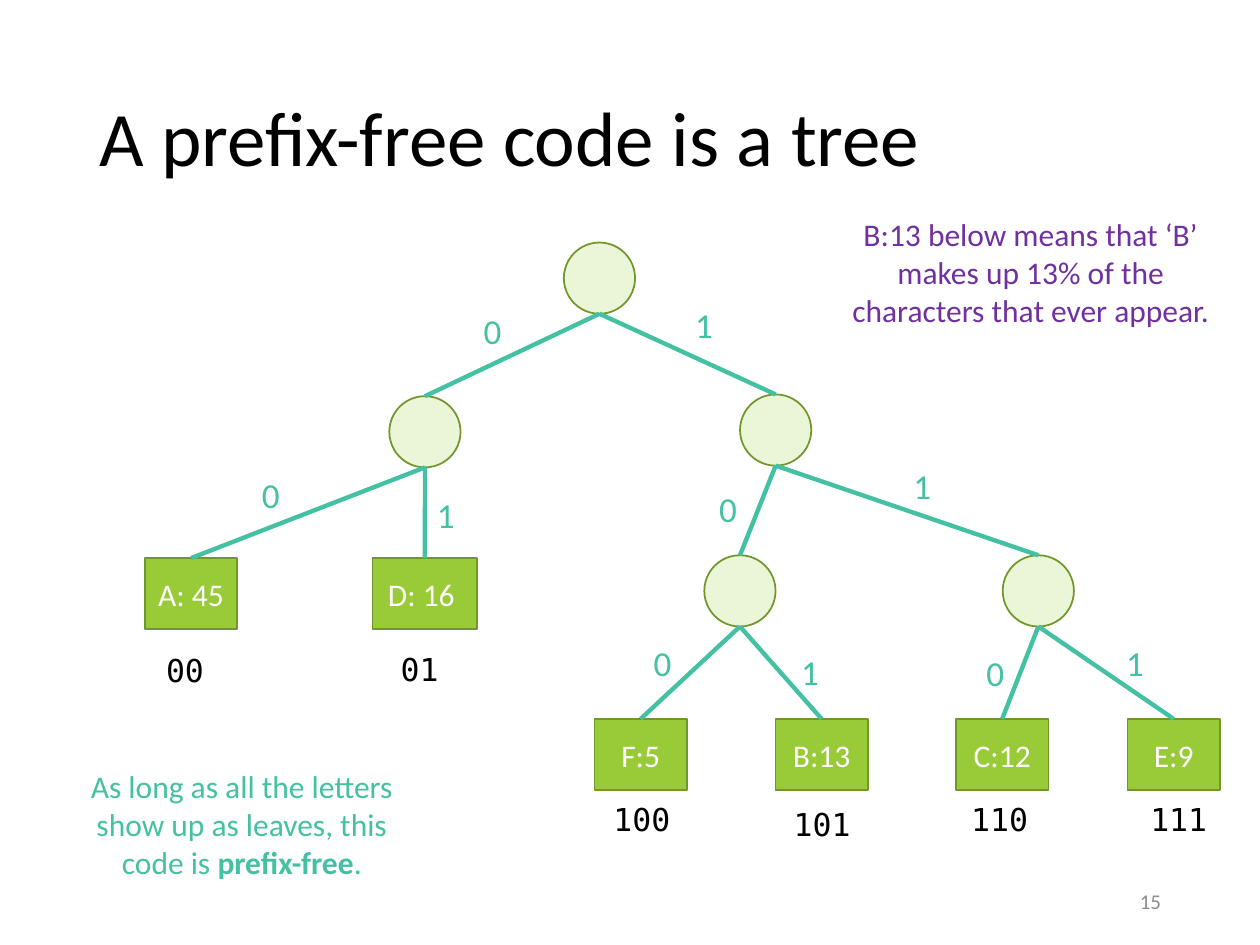
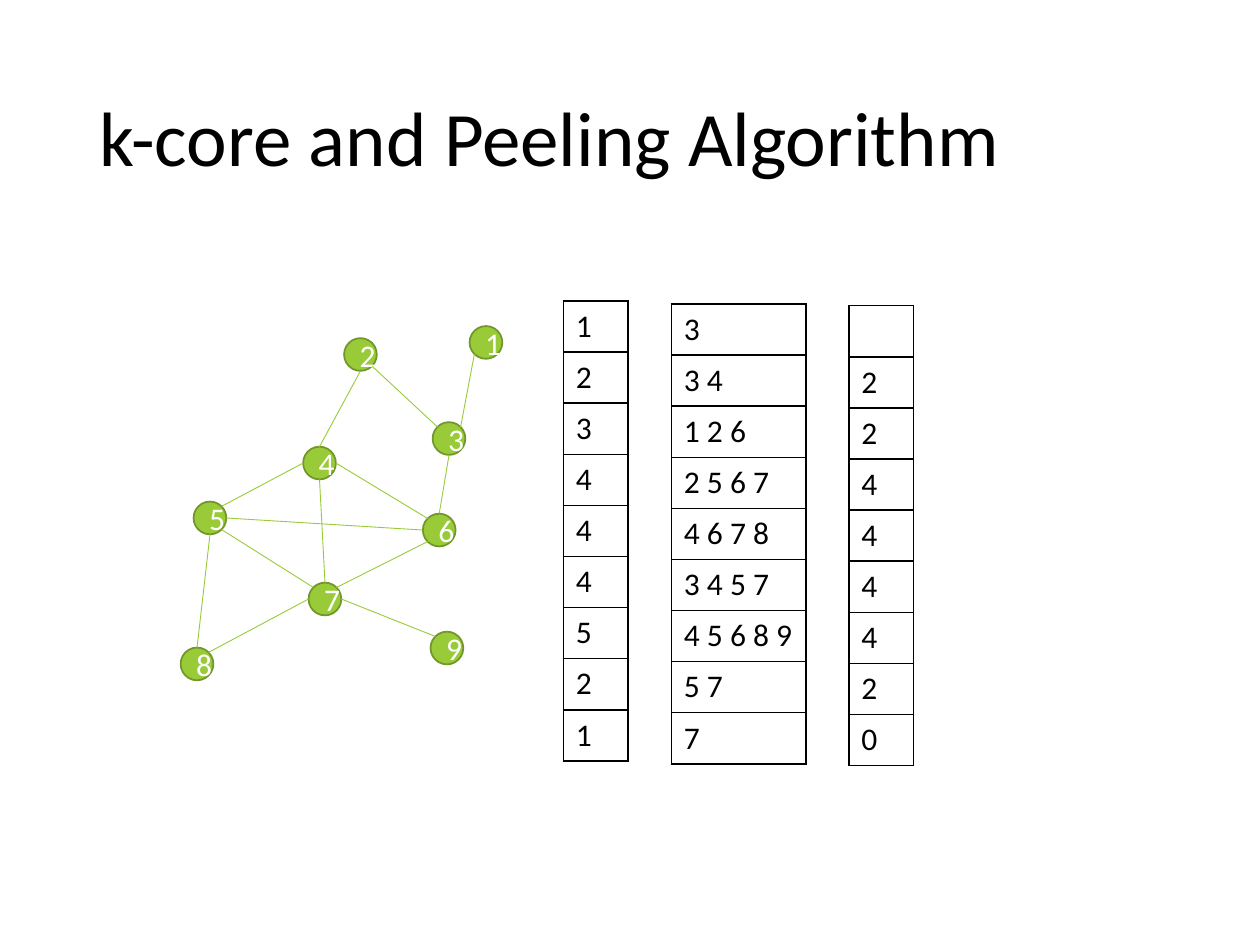
from math import cos, pi, sin
from typing import NamedTuple

from lxml import etree
from pptx import Presentation
from pptx.dml.color import RGBColor
from pptx.enum.shapes import MSO_CONNECTOR, MSO_SHAPE
from pptx.enum.text import MSO_ANCHOR, PP_ALIGN
from pptx.oxml import parse_xml
from pptx.oxml.ns import nsdecls, qn
from pptx.util import Pt

OVAL, RECT = MSO_SHAPE.OVAL, MSO_SHAPE.RECTANGLE
LINE = MSO_CONNECTOR.STRAIGHT
LEFT, CENTER, RIGHT = PP_ALIGN.LEFT, PP_ALIGN.CENTER, PP_ALIGN.RIGHT
TOP, MIDDLE = MSO_ANCHOR.TOP, MSO_ANCHOR.MIDDLE

BLACK = RGBColor(0x00, 0x00, 0x00)
WHITE = RGBColor(0xFF, 0xFF, 0xFF)
GREEN = RGBColor(0x99, 0xCB, 0x38)
DARK = RGBColor(0x71, 0x96, 0x29)
PALE = RGBColor(0xEB, 0xF5, 0xD7)
TEAL = RGBColor(0x44, 0xC1, 0xA3)
PURPLE = RGBColor(0x70, 0x30, 0xA0)
GRAY = RGBColor(0x8C, 0x8C, 0x8C)

SANS, MONO = "Calibri", "DejaVu Sans Mono"
TITLE_ONLY = 5
SIDE = 40.7   # height of every tree node
DOT = 18.7    # width of a graph node
ROW = 29.2    # height of a table row


class Box(NamedTuple):
    x: float
    y: float
    w: float
    h: float


class Leaf(NamedTuple):
    label: str
    x: float
    y: float
    w: float
    code: str
    code_x: float
    code_y: float


class Edge(NamedTuple):
    start: str
    end: str
    bit: str
    x: float
    y: float


class Link(NamedTuple):
    start: int
    from_site: int
    end: int
    to_site: int


class Column(NamedTuple):
    x: float
    y: float
    w: float
    cells: list[str]


# Tree: inner nodes, leaves with their code words, edges with their bits
INNER = {
    "root": (322.2, 138.6),
    "0": (222.5, 226.4),
    "1": (422.9, 225.4),
    "10": (402.5, 317.3),
    "11": (573, 317.3),
}
LEAVES = [
    Leaf("A: 45", 82.8, 318.9, 52.8, "00", 87.8, 368.6),
    Leaf("D: 16 ", 212.9, 318.9, 59.8, "01", 221.8, 367.9),
    Leaf("F:5", 339.7, 410.8, 52.8, "100", 343.4, 453.6),
    Leaf("B:13", 443.1, 410.8, 52.8, "101", 446.4, 456.5),
    Leaf("C:12", 546.3, 410.8, 52.8, "110", 547.9, 453.6),
    Leaf("E:9", 644.3, 410.8, 52.8, "111", 650.2, 453.6),
]
EDGES = [
    Edge("root", "0", "0", 269.3, 173.5),
    Edge("root", "1", "1", 390.2, 169.9),
    Edge("0", "00", "0", 142.6, 267.1),
    Edge("0", "01", "1", 242.6, 278.6),
    Edge("1", "10", "0", 403.9, 275),
    Edge("1", "11", "1", 514.8, 262.1),
    Edge("10", "100", "0", 366.5, 362.9),
    Edge("10", "101", "1", 450.7, 367.9),
    Edge("11", "110", "0", 556.6, 368.6),
    Edge("11", "111", "1", 636.5, 362.9),
]

# Graph: node centres, and links between sites 0 to 7,
# counted from the top of the circle, anticlockwise
DOTS = {
    1: (277.7, 195.7), 2: (206, 202.6), 3: (256.6, 250.6),
    4: (182.6, 264.6), 5: (120, 296), 6: (251, 302.9),
    7: (185.7, 342.3), 8: (112.6, 379.4), 9: (255.4, 370.3),
}
LINKS = [
    Link(5, 5, 7, 1), Link(5, 7, 4, 2), Link(4, 6, 6, 1), Link(7, 7, 6, 3),
    Link(5, 6, 6, 2), Link(4, 4, 7, 0), Link(2, 4, 4, 0), Link(3, 4, 6, 0),
    Link(2, 5, 3, 1), Link(1, 3, 3, 7), Link(7, 6, 9, 1), Link(7, 2, 8, 7),
    Link(5, 4, 8, 0),
]
NEAR = ["3", "3 4", "1 2 6", "2 5 6 7", "4 6 7 8", "3 4 5 7",
        "4 5 6 8 9", "5 7", "7"]
COLUMNS = [
    Column(321.9, 172, 37, [str(len(row.split())) for row in NEAR]),
    Column(383.6, 173.7, 77, NEAR),
    Column(485, 174.7, 37, ["", *"22444420"]),
]


def style(frame, size: float, color: RGBColor, font: str = SANS,
          align=LEFT, anchor=TOP) -> None:
    """Format all the text in a frame."""
    frame.vertical_anchor = anchor
    for para in frame.paragraphs:
        para.alignment = align
        for run in para.runs:
            run.font.size = Pt(size)
            run.font.name = font
            run.font.color.rgb = color


def add_slide(deck, title: str):
    slide = deck.slides.add_slide(deck.slide_layouts[TITLE_ONLY])
    head = slide.shapes.title
    head.left, head.top = Pt(49.5), Pt(28.8)
    head.width, head.height = Pt(621), Pt(104.4)
    head.text_frame.text = title
    head.text_frame.paragraphs[0].line_spacing = 0.9
    style(head.text_frame, 44, BLACK, anchor=MIDDLE)
    return slide


def add_text(slide, box: Box, text: str, size: float, color: RGBColor,
             font: str = SANS, align=LEFT, anchor=TOP) -> None:
    """Add a text box; words between asterisks are bold."""
    frame = slide.shapes.add_textbox(*map(Pt, box)).text_frame
    frame.word_wrap = True
    first, *rest = text.split("*")
    para = frame.paragraphs[0]
    para.text = first
    for i, part in enumerate(rest):
        run = para.add_run()
        run.text = part
        run.font.bold = i % 2 == 0
    style(frame, size, color, font, align, anchor)


def add_node(slide, kind, box: Box, fill: RGBColor, label: str = ""):
    node = slide.shapes.add_shape(kind, *map(Pt, box))
    node.shadow.inherit = False
    node.fill.solid()
    node.fill.fore_color.rgb = fill
    node.line.color.rgb = DARK
    node.line.width = Pt(1)
    if label:
        node.text_frame.text = label
        style(node.text_frame, 18, WHITE, align=CENTER, anchor=MIDDLE)
    return node


def add_line(slide, x1: int, y1: int, x2: int, y2: int,
             color: RGBColor, width: float):
    line = slide.shapes.add_connector(LINE, x1, y1, x2, y2)
    line.line.color.rgb = color
    line.line.width = Pt(width)
    etree.SubElement(line._element.spPr, qn("a:effectLst"))
    return line


def add_column(slide, col: Column) -> None:
    """Add a plain table of one column with thin black borders."""
    count = len(col.cells)
    table = slide.shapes.add_table(
        count, 1, Pt(col.x), Pt(col.y), Pt(col.w), Pt(ROW * count)).table
    table.first_row = table.horz_banding = False
    for row, text in enumerate(col.cells):
        table.rows[row].height = Pt(ROW)
        cell = table.cell(row, 0)
        cell.text_frame.text = text
        style(cell.text_frame, 18, BLACK)
        cell.fill.background()
        for i, side in enumerate(("lnL", "lnR", "lnT", "lnB")):
            border = parse_xml(
                f'<a:{side} {nsdecls("a")} w="{Pt(1)}"><a:solidFill>'
                f'<a:srgbClr val="{BLACK}"/></a:solidFill></a:{side}>')
            cell._tc.get_or_add_tcPr().insert(i, border)


def site(dot: int, index: int) -> tuple[int, int]:
    """Return the point at one of the eight sites of a graph node."""
    x, y = DOTS[dot]
    angle = index * pi / 4
    return Pt(x - DOT / 2 * sin(angle)), Pt(y - DOT / 2 * cos(angle))


def draw_tree(deck) -> None:
    slide = add_slide(deck, "A prefix-free code is a tree")
    # Nodes and leaves
    nodes = {key: add_node(slide, OVAL, Box(x, y, SIDE, SIDE), PALE)
             for key, (x, y) in INNER.items()}
    for leaf in LEAVES:
        box = Box(leaf.x, leaf.y, leaf.w, SIDE)
        nodes[leaf.code] = add_node(slide, RECT, box, GREEN, leaf.label)
        add_text(slide, Box(leaf.code_x, leaf.code_y, 60, 29), leaf.code,
                 18, BLACK, MONO)
    # Edges
    for edge in EDGES:
        start, end = nodes[edge.start], nodes[edge.end]
        line = add_line(slide, start.left + start.width // 2,
                        start.top + start.height,
                        end.left + end.width // 2, end.top, TEAL, 2.5)
        line.end_connect(end, 0)
        add_text(slide, Box(edge.x, edge.y, 47.5, 31.5), edge.bit, 20, TEAL)
    # Notes and page number
    add_text(slide, Box(33.8, 434.9, 208.8, 72.7),
             "As long as all the letters show up as leaves, this code is"
             "* prefix-free*.", 18, TEAL, align=CENTER)
    add_text(slide, Box(470.9, 119.5, 236.2, 72.7),
             "B:13 below means that ‘B’ makes up 13% of the characters "
             "that ever appear.", 18, PURPLE, align=CENTER)
    add_text(slide, Box(508.5, 500.5, 162, 28.8), "15", 12, GRAY,
             align=RIGHT, anchor=MIDDLE)


def draw_graph(deck) -> None:
    slide = add_slide(deck, "k-core and Peeling Algorithm")
    # Nodes and links
    for dot, (x, y) in DOTS.items():
        box = Box(x - DOT / 2, y - DOT / 2, DOT, DOT)
        add_node(slide, OVAL, box, GREEN, str(dot))
    for link in LINKS:
        add_line(slide, *site(link.start, link.from_site),
                 *site(link.end, link.to_site), GREEN, 0.5)
    # Degrees, neighbours and peeled degrees
    for col in COLUMNS:
        add_column(slide, col)


def main() -> None:
    deck = Presentation()
    deck.slide_width, deck.slide_height = Pt(720), Pt(540)
    draw_tree(deck)
    draw_graph(deck)
    deck.save("out.pptx")


if __name__ == "__main__":
    main()
